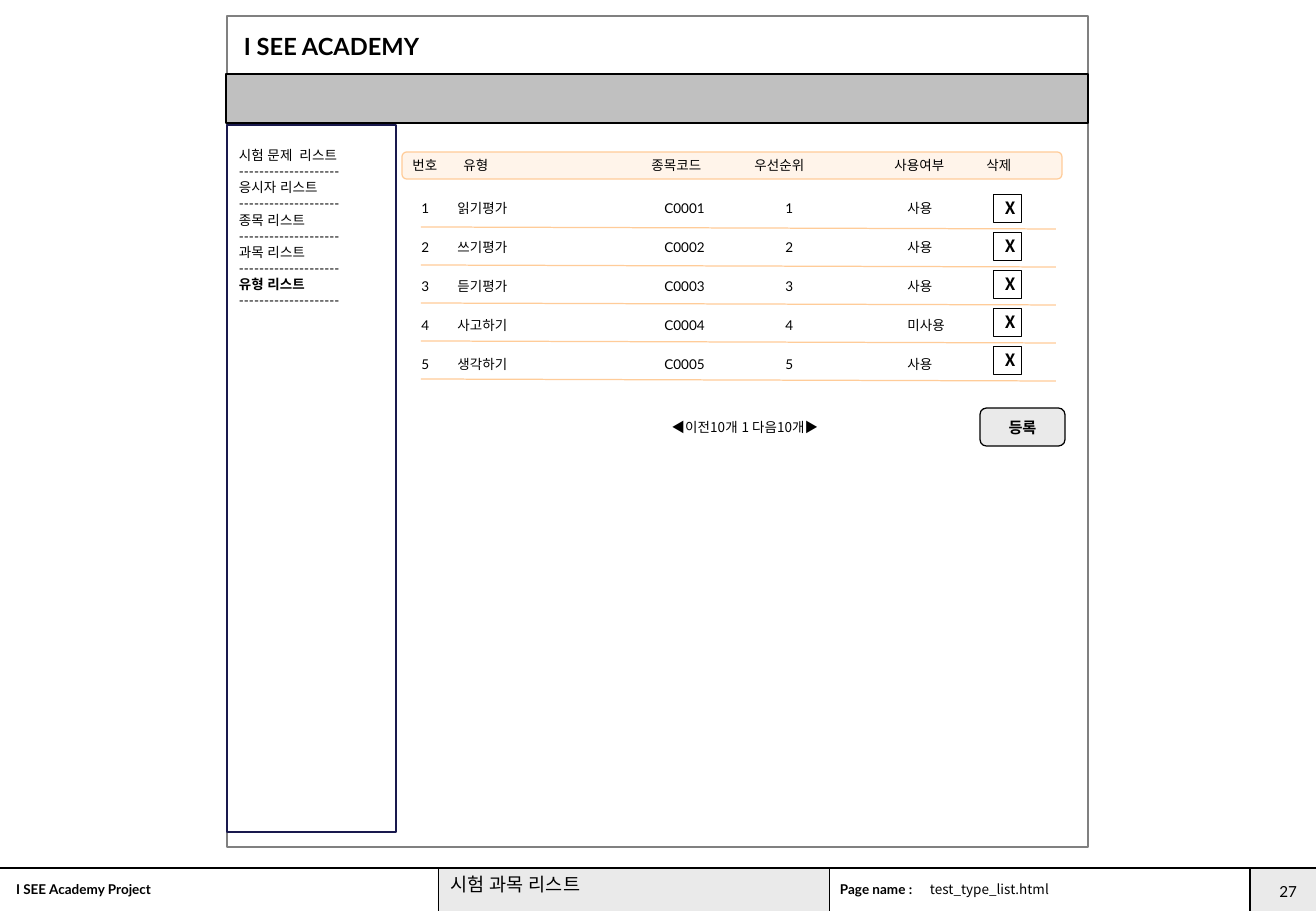
from dataclasses import dataclass
from lxml import etree
from pptx import Presentation
from pptx.dml.color import RGBColor
from pptx.enum.lang import MSO_LANGUAGE_ID
from pptx.enum.shapes import MSO_CONNECTOR, MSO_SHAPE
from pptx.enum.text import MSO_ANCHOR, MSO_AUTO_SIZE, PP_ALIGN
from pptx.oxml.ns import qn
from pptx.util import Pt

RECT, ROUND = MSO_SHAPE.RECTANGLE, MSO_SHAPE.ROUNDED_RECTANGLE
STRAIGHT = MSO_CONNECTOR.STRAIGHT
TOP, MID = MSO_ANCHOR.TOP, MSO_ANCHOR.MIDDLE
LEFT, MIDST, RIGHT = PP_ALIGN.LEFT, PP_ALIGN.CENTER, PP_ALIGN.RIGHT
FIXED = MSO_AUTO_SIZE.NONE
KOREAN = MSO_LANGUAGE_ID.KOREAN
SCALE = 7528


@dataclass
class Theme:
    ink: str = "000000"
    paper: str = "FFFFFF"
    frame: str = "808080"
    bar: str = "C0C0C0"
    pale: str = "EAEAEA"
    peach: str = "FFCC99"
    navy: str = "19194D"
    latin: str = "Lato"
    hangul: str = "Noto Sans CJK KR"
    small: int = 8
    note: int = 9
    mark: int = 10
    title: int = 11
    brand: int = 14


def px(n):
    return n * SCALE


class Page:
    def __init__(self, deck, theme):
        self.theme = theme
        self.slide = deck.slides.add_slide(deck.slide_layouts[5])
        self.shapes = self.slide.shapes

    def fill_text(self, shape, lines, size=None, face=None, bold=(), align=LEFT,
                  anchor=MID, pad=(5, 6, 5, 6), stops=()):
        frame = shape.text_frame
        frame.word_wrap = True
        frame.auto_size = FIXED
        frame.vertical_anchor = anchor
        (frame.margin_left, frame.margin_top,
         frame.margin_right, frame.margin_bottom) = map(px, pad)
        frame.text = "\n".join(lines)
        face = face or self.theme.latin
        for para in frame.paragraphs:
            para.alignment = align
            font = para.font
            font.name = face
            font.size = Pt(size or self.theme.small)
            font.bold = para.text in bold
            font.color.rgb = RGBColor.from_string(self.theme.ink)
            font.language_id = KOREAN
            props = para._p.get_or_add_pPr()
            style = props.find(qn("a:defRPr"))
            east = etree.Element(qn("a:ea"), typeface=face)
            style.find(qn("a:latin")).addnext(east)
            if stops:
                tabs = etree.Element(qn("a:tabLst"))
                for stop in stops:
                    etree.SubElement(tabs, qn("a:tab"), pos=str(px(stop)), algn="l")
                style.addprevious(tabs)

    def box(self, kind, area, fill=None, line=None, width=0.75, alpha=None):
        shape = self.shapes.add_shape(kind, *map(px, area))
        shape.shadow.inherit = False
        if kind == ROUND:
            shape.adjustments[0] = 0.17
        if fill:
            shape.fill.solid()
            shape.fill.fore_color.rgb = RGBColor.from_string(fill)
            if alpha:
                tone = shape.element.spPr.find(qn("a:solidFill"))[0]
                etree.SubElement(tone, qn("a:alpha"), val=str(alpha * 1000))
        else:
            shape.fill.background()
        if line:
            shape.line.color.rgb = RGBColor.from_string(line)
            shape.line.width = Pt(width)
        else:
            shape.line.fill.background()
        return shape

    def label(self, area, text, **style):
        self.fill_text(self.shapes.add_textbox(*map(px, area)), [text], **style)

    def rule(self, ends, color, width=0.75):
        line = self.shapes.add_connector(STRAIGHT, *map(px, ends))
        line.line.color.rgb = RGBColor.from_string(color)
        line.line.width = Pt(width)
        etree.SubElement(line.element.spPr, qn("a:effectLst"))

    def title(self, area, text, **style):
        shape = self.shapes.title
        shape.left, shape.top, shape.width, shape.height = map(px, area)
        self.fill_text(shape, [text], **style)
        shape.element.getparent().append(shape.element)


def footer(page):
    look = page.theme
    wide = (13, 6, 13, 6)
    for x, w in ((1250, 66), (438, 391)):
        page.box(RECT, (x, 868, w, 43), fill=look.pale)
    page.rule((0, 868, 1316, 868), look.ink)
    for x, width in ((438, 0.25), (829, 0.25), (1250, 0.75)):
        page.rule((x, 868, x, 911), look.ink, width)
    for x, w, text in ((3, 280, "I SEE Academy Project"), (827, 108, "Page name :")):
        page.label((x, 875, w, 29), text, bold=(text,), pad=wide)
    page.label((1255, 874, 55, 34), "27", size=look.note, align=RIGHT, pad=wide)
    page.label((925, 875, 316, 29), "test_type_list.html", face=look.hangul)
    page.title((438, 867, 392, 44), "시험 과목 리스트", size=look.title,
               face=look.hangul, anchor=TOP, pad=(12, 6, 12, 6))


def sidebar(page):
    look = page.theme
    lines = []
    for item in ("시험 문제  리스트", "응시자 리스트", "종목 리스트",
                 "과목 리스트", "유형 리스트"):
        lines += [item, "-" * 20]
    menu = page.box(RECT, (227, 125, 169, 707), look.paper, look.navy)
    page.fill_text(menu, lines, bold=("유형 리스트",), anchor=TOP,
                   pad=(12, 22, 12, 6))


def listing(page):
    look = page.theme
    head = page.box(ROUND, (402, 152, 660, 27), look.peach, look.peach, alpha=20)
    names = ("번호", "유형", "종목코드", "우선순위", "사용여부", "삭제")
    page.fill_text(head, ["\t".join(names)], pad=(9, 6, 5, 6),
                   stops=(51, 239, 342, 482, 574))
    rows = (("읽기평가", "사용"), ("쓰기평가", "사용"), ("듣기평가", "사용"),
            ("사고하기", "미사용"), ("생각하기", "사용"))
    for i, (kind, used) in enumerate(rows):
        num = str(i + 1)
        row = page.box(ROUND, (415, 195 + 39 * i, 660, 27))
        page.fill_text(row, ["\t".join((num, kind, f"C000{num}", num, used))],
                       stops=(36, 243, 364, 486))
        y = 227 + 38 * i
        page.rule((421, y, 1056, y + 2), look.peach)
        mark = page.box(RECT, (993, 194 + 38 * i, 28, 28), line=look.ink, width=0.25)
        page.fill_text(mark, ["X"], size=look.mark, face=look.hangul, bold=("X",),
                       align=MIDST, pad=(12, 6, 12, 6))
    pager = page.box(ROUND, (402, 408, 686, 38))
    page.fill_text(pager, ["◀이전10개 1 다음10개▶"], face=look.hangul, align=MIDST)
    enter = page.box(ROUND, (980, 408, 85, 38), look.pale, look.ink)
    page.fill_text(enter, ["등록"], size=look.note, bold=("등록",), align=MIDST)


def main():
    deck = Presentation()
    deck.slide_width, deck.slide_height = px(1316), px(911)
    look = Theme()
    page = Page(deck, look)
    footer(page)
    page.box(RECT, (227, 16, 861, 831), line=look.frame, width=1.5)
    brand = "I SEE ACADEMY"
    page.label((239, 25, 230, 42), brand, size=look.brand, bold=(brand,))
    page.box(RECT, (226, 74, 862, 49), look.bar, look.ink)
    sidebar(page)
    listing(page)
    deck.save("out.pptx")


if __name__ == "__main__":
    main()
